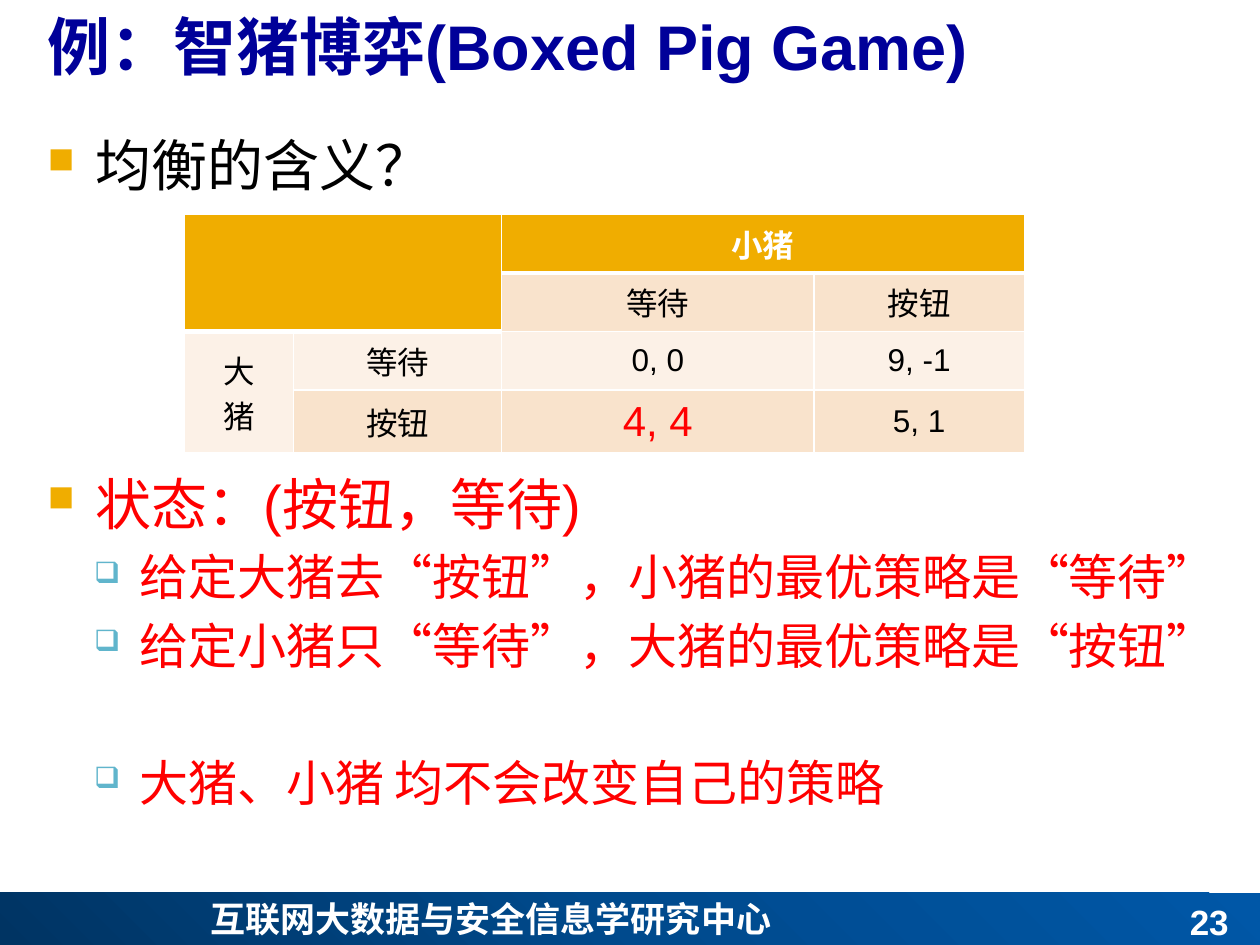
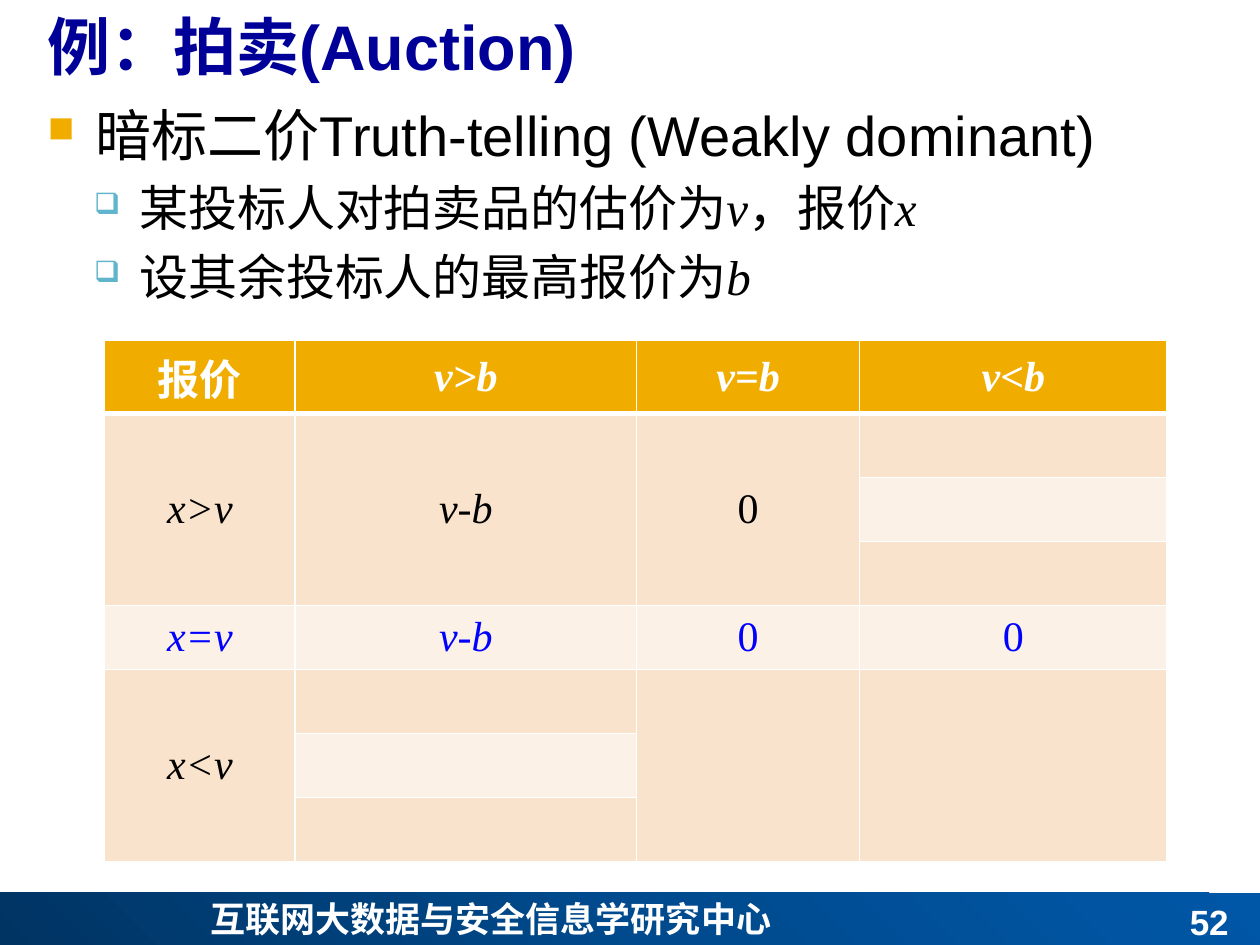
"""Build two game theory slides: the boxed pig game and the sealed-bid auction."""
from lxml import etree
from pptx import Presentation, util as u
from pptx.dml.color import RGBColor
from pptx.enum import lang, shapes, text
from pptx.oxml import parse_xml
from pptx.oxml.ns import nsdecls, qn

C = {"title": "000099", "black": "000000", "white": "FFFFFF", "red": "FF0000", "blue": "0000FF",
     "gold": "F0AD00", "teal": "60B5CC", "dark": "F9E3CC", "light": "FCF1E7",
     "band0": "003463", "band1": "004A8D", "band2": "0057A7"}
CJK = "Noto Sans CJK SC"
BULLETS = [("■", "gold", 65, 0.97, 0.97, 40), ("❑", "teal", 60, 1.85, 0.91, 33.6)]


def style(p, size, color, font="Arial", bold=False, italic=False):
    """Format every run of a paragraph."""
    for r in p.runs:
        r.font.size, r.font.bold, r.font.italic = u.Pt(size), bold, italic
        r.font.color.rgb = RGBColor.from_string(C[color])
        r.font.name = font
        r.font.language_id = lang.MSO_LANGUAGE_ID.SIMPLIFIED_CHINESE
        etree.SubElement(r._r.get_or_add_rPr(), qn("a:ea")).set("typeface", CJK)


def add_text(s, x, y, w, h, anchor=text.MSO_ANCHOR.TOP):
    """Add a wrapping text box and return its text frame."""
    tf = s.shapes.add_textbox(u.Cm(x), u.Cm(y), u.Cm(w), u.Cm(h)).text_frame
    tf.word_wrap, tf.vertical_anchor = True, anchor
    return tf


slides = [
    {"title": "例：智猪博弈(Boxed Pig Game)", "number": "23", "body": (2.46, 24.61, 14.68),
     "points": [
         (0, "black", 0, ["均衡的含义？"]),
         (0, "red", 153.6, ["状态：(按钮，等待)"]),
         (1, "red", 5.6, ["给定大猪去“按钮”，小猪的最优策略是“等待”"]),
         (1, "red", 5.6, ["给定小猪只“等待”，大猪的最优策略是“按钮”"]),
         (1, "red", 44.8, ["大猪、小猪 均不会改变自己的策略"])],
     "at": (3.71, 4.32), "cols": [2.21, 4.19, 6.3, 4.24], "rows": [1.18] * 4,
     "font": "Arial", "size": 18,
     "cells": [["", "", "小猪", ""],
               ["", "", "等待", "按钮"],
               ["大\n猪", "等待", "0, 0", "9, -1"],
               ["", "按钮", "4, 4", "5, 1"]],
     "header": [(0, 0), (0, 1), (0, 2), (0, 3), (1, 0), (1, 1)],
     "merges": [(0, 0, 1, 1), (0, 2, 0, 3), (2, 0, 3, 0)],
     "accents": {(3, 2): ("red", 24)}},
    {"title": "例：拍卖(Auction)", "number": "52", "body": (1.85, 24, 5.08),
     "points": [
         (0, "black", 0, ["暗标二价Truth-telling (Weakly dominant)"]),
         (1, "black", 5.6, ["某投标人对拍卖品的估价为", "v", "，报价", "x"]),
         (1, "black", 5.6, ["设其余投标人的最高报价为", "b"])],
     "at": (2.11, 6.86), "cols": [3.84, 6.88, 4.5, 6.2], "rows": [1.48] + [1.29] * 7,
     "font": "Times New Roman", "size": 24,
     "cells": [["报价", "v>b", "v=b", "v<b"],
               ["x>v", "v-b", "0", ""],
               [""] * 4,
               [""] * 4,
               ["x=v", "v-b", "0", "0"],
               ["x<v", "", "", ""],
               [""] * 4,
               [""] * 4],
     "header": [(0, 0), (0, 1), (0, 2), (0, 3)],
     "merges": [(1, 0, 3, 0), (1, 1, 3, 1), (1, 2, 3, 2),
                (5, 0, 7, 0), (5, 2, 7, 2), (5, 3, 7, 3)],
     "accents": {(4, c): ("blue", 24) for c in range(4)}},
]

prs = Presentation()
prs.slide_width, prs.slide_height = u.Cm(25.4), u.Cm(19.05)

for d in slides:
    s = prs.slides.add_slide(prs.slide_layouts[6])

    sp = s.shapes.add_shape(shapes.MSO_SHAPE.RECTANGLE, 0, u.Cm(18), prs.slide_width, u.Cm(1.05))
    sp.shadow.inherit = False
    sp.line.fill.background()
    stops = "".join(f'<a:gs pos="{i * 50000}"><a:srgbClr val="{C[f"band{i}"]}"/></a:gs>' for i in range(3))
    sp._element.spPr.find(qn("a:prstGeom")).addnext(parse_xml(
        f'<a:gradFill {nsdecls("a")} rotWithShape="1"><a:gsLst>{stops}</a:gsLst>'
        '<a:path path="circle"><a:fillToRect t="100000" r="100000"/></a:path></a:gradFill>'))

    p = add_text(s, 3.99, 17.96, 17.4, 1.12).paragraphs[0]
    p.text = "互联网大数据与安全信息学研究中心"
    p.alignment = text.PP_ALIGN.JUSTIFY
    style(p, 20, "white", CJK, bold=True)

    p = add_text(s, 19.1, 18, 5.92, 1.12, text.MSO_ANCHOR.BOTTOM).paragraphs[0]
    p.text = d["number"]
    p.alignment = text.PP_ALIGN.RIGHT
    style(p, 20, "white", bold=True)

    p = add_text(s, 0.71, -0.08, 24.69, 2, text.MSO_ANCHOR.MIDDLE).paragraphs[0]
    p.text = d["title"]
    p.line_spacing = u.Pt(43)
    style(p, 36, "title", bold=True)

    top, width, height = d["body"]
    tf = add_text(s, 0.71, top, width, height)
    for i, (level, color, before, parts) in enumerate(d["points"]):
        p = tf.add_paragraph() if i else tf.paragraphs[0]
        char, bullet_color, scale, margin, hang, line = BULLETS[level]
        pPr = p._p.get_or_add_pPr()
        pPr.set("marL", str(u.Cm(margin)))
        pPr.set("indent", str(-u.Cm(hang)))
        for xml in (f'<a:buClr {nsdecls("a")}><a:srgbClr val="{C[bullet_color]}"/></a:buClr>',
                    f'<a:buSzPct {nsdecls("a")} val="{scale * 1000}"/>',
                    f'<a:buChar {nsdecls("a")} char="{char}"/>'):
            pPr.append(parse_xml(xml))
        p.level, p.line_spacing = level, u.Pt(line)
        if before:
            p.space_before = u.Pt(before)
        for part in parts:
            p.add_run().text = part
        style(p, 28 if level else 32, color, d["font"] if level else "Arial")
        for r in p.runs:
            r.font.italic = len(r.text) == 1

    x, y = d["at"]
    rows, cols = d["rows"], d["cols"]
    tbl = s.shapes.add_table(len(rows), len(cols), u.Cm(x), u.Cm(y),
                             u.Cm(sum(cols)), u.Cm(sum(rows))).table
    for i, w in enumerate(cols):
        tbl.columns[i].width = u.Cm(w)
    for i, h in enumerate(rows):
        tbl.rows[i].height = u.Cm(h)
        for j, value in enumerate(d["cells"][i]):
            cell, head = tbl.cell(i, j), (i, j) in d["header"]
            cell.vertical_anchor = text.MSO_ANCHOR.MIDDLE
            if value:
                cell.text_frame.text = value
            color, size = d["accents"].get((i, j), ("white" if head else "black", d["size"]))
            for p in cell.text_frame.paragraphs:
                p.alignment = text.PP_ALIGN.CENTER
                style(p, size, color, d["font"], bold=head,
                      italic=value[:1] in ("v", "x"))
            for side in "LRTB":
                if side == "T" and i:
                    continue
                weight = u.Pt(3 if head and side == "B" else 1)
                cell._tc.get_or_add_tcPr().append(parse_xml(
                    f'<a:ln{side} {nsdecls("a")} w="{weight}"><a:solidFill>'
                    f'<a:srgbClr val="{C["white"]}"/></a:solidFill></a:ln{side}>'))
            cell.fill.solid()
            fill = "gold" if head else "dark" if i % 2 else "light"
            cell.fill.fore_color.rgb = RGBColor.from_string(C[fill])
    for r0, c0, r1, c1 in d["merges"]:
        tbl.cell(r0, c0).merge(tbl.cell(r1, c1))

prs.save("out.pptx")
